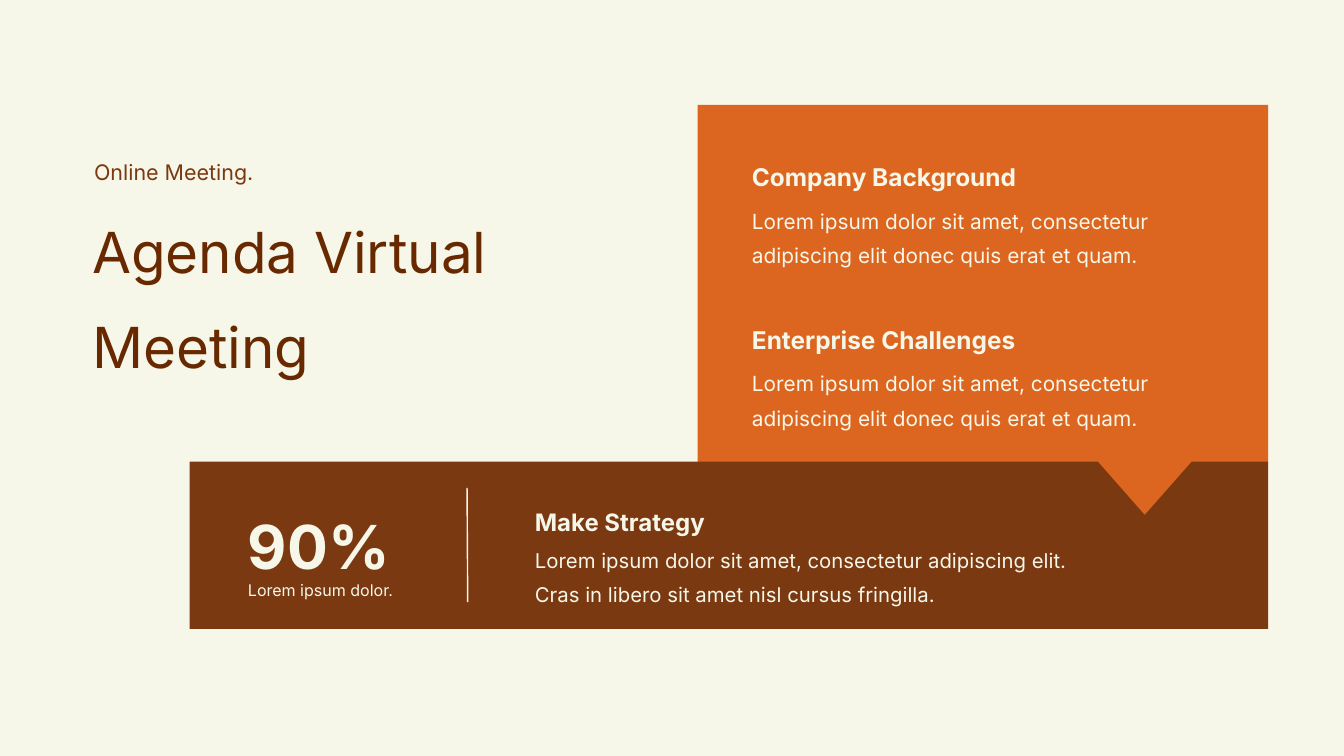
from dataclasses import dataclass

from lxml.etree import SubElement
from pptx import Presentation
from pptx.dml.color import RGBColor
from pptx.enum.shapes import MSO_CONNECTOR, MSO_SHAPE
from pptx.enum.text import MSO_ANCHOR, MSO_AUTO_SIZE, PP_ALIGN
from pptx.oxml.ns import qn
from pptx.util import Inches, Pt


@dataclass(frozen=True)
class Theme:
    font: str = "Inter"
    cream: RGBColor = RGBColor(0xF6, 0xF6, 0xE9)
    orange: RGBColor = RGBColor(0xDC, 0x66, 0x1F)
    brown: RGBColor = RGBColor(0x7B, 0x39, 0x11)
    dark: RGBColor = RGBColor(0x69, 0x29, 0x00)
    title: float = 60.6
    label: float = 23
    head: float = 26.2
    body: float = 22.3
    stat: float = 65
    note: float = 17.2
    bar_head: float = 25.7
    bar_body: float = 21.8


theme = Theme()
deck = Presentation()
deck.slide_width, deck.slide_height = Inches(20), Inches(11.25)
slide = deck.slides.add_slide(deck.slide_layouts[5])
slide.background.fill.solid()
slide.background.fill.fore_color.rgb = theme.cream
shapes = slide.shapes


def write(box, place, lines, size, color, bold=False, space=1.4):
    """Place a text shape and fill it with one paragraph per line."""
    box.left, box.top, box.width, box.height = [Inches(n) for n in place]
    frame = box.text_frame
    frame.word_wrap = True
    frame.auto_size = MSO_AUTO_SIZE.NONE
    frame.vertical_anchor = MSO_ANCHOR.TOP
    frame.margin_left = frame.margin_right = 0
    frame.margin_top = frame.margin_bottom = 0
    for i, line in enumerate(lines):
        para = frame.add_paragraph() if i else frame.paragraphs[0]
        para.alignment = PP_ALIGN.LEFT
        para.line_spacing = space
        para.space_before = Pt(0)
        run = para.add_run()
        run.text = line
        run.font.name = theme.font
        run.font.size = Pt(size)
        run.font.bold = bold
        run.font.color.rgb = color


def add_text(place, *args, **style):
    box = shapes.add_textbox(*[Inches(n) for n in place])
    write(box, place, *args, **style)


# Panels and the pointer between them
for kind, place, color in [
    (MSO_SHAPE.RECTANGLE, (10.38, 1.56, 8.49, 5.32), theme.orange),
    (MSO_SHAPE.RECTANGLE, (2.82, 6.87, 16.05, 2.49), theme.brown),
    (MSO_SHAPE.FLOWCHART_MERGE, (16.33, 6.86, 1.41, 0.8), theme.orange),
]:
    panel = shapes.add_shape(kind, *[Inches(n) for n in place])
    panel.shadow.inherit = False
    panel.fill.solid()
    panel.fill.fore_color.rgb = color
    panel.line.fill.background()

# Title block
write(shapes.title, (1.37, 2.83, 8.42, 2.31), ["Agenda Virtual Meeting"],
      theme.title, theme.dark)
add_text((1.4, 2.22, 4.7, 0.43), ["Online Meeting."], theme.label, theme.brown)

# Topics in the orange panel
topic = "Lorem ipsum dolor sit amet, consectetur adipiscing elit donec quis erat et quam."
for i, head in enumerate(["Company Background", "Enterprise Challenges"]):
    top = 2.24 + i * 2.42
    add_text((11.19, top, 5.7, 0.48), [head], theme.head, theme.cream, bold=True)
    add_text((11.19, top + 0.71, 6.88, 0.84), [topic], theme.body, theme.cream)

# Figure, divider and strategy in the brown bar
add_text((3.69, 7.35, 2.69, 1.09), ["90%"], theme.stat, theme.cream,
         bold=True, space=1.2)
add_text((3.69, 8.55, 2.97, 0.3), ["Lorem ipsum dolor."], theme.note,
         theme.cream, space=1.3)

rule = shapes.add_connector(MSO_CONNECTOR.STRAIGHT, Inches(6.95), Inches(7.26),
                            Inches(6.96), Inches(8.96))
rule.line.color.rgb = theme.cream
rule.line.width = Pt(1.5)
SubElement(rule._element.spPr, qn("a:effectLst"))

add_text((7.96, 7.38, 4.02, 0.47), ["Make Strategy"], theme.bar_head,
         theme.cream, bold=True)
add_text((7.96, 8.01, 9.77, 0.81),
         ["Lorem ipsum dolor sit amet, consectetur adipiscing elit.",
          "Cras in libero sit amet nisl cursus fringilla."],
         theme.bar_body, theme.cream)

deck.save("out.pptx")
